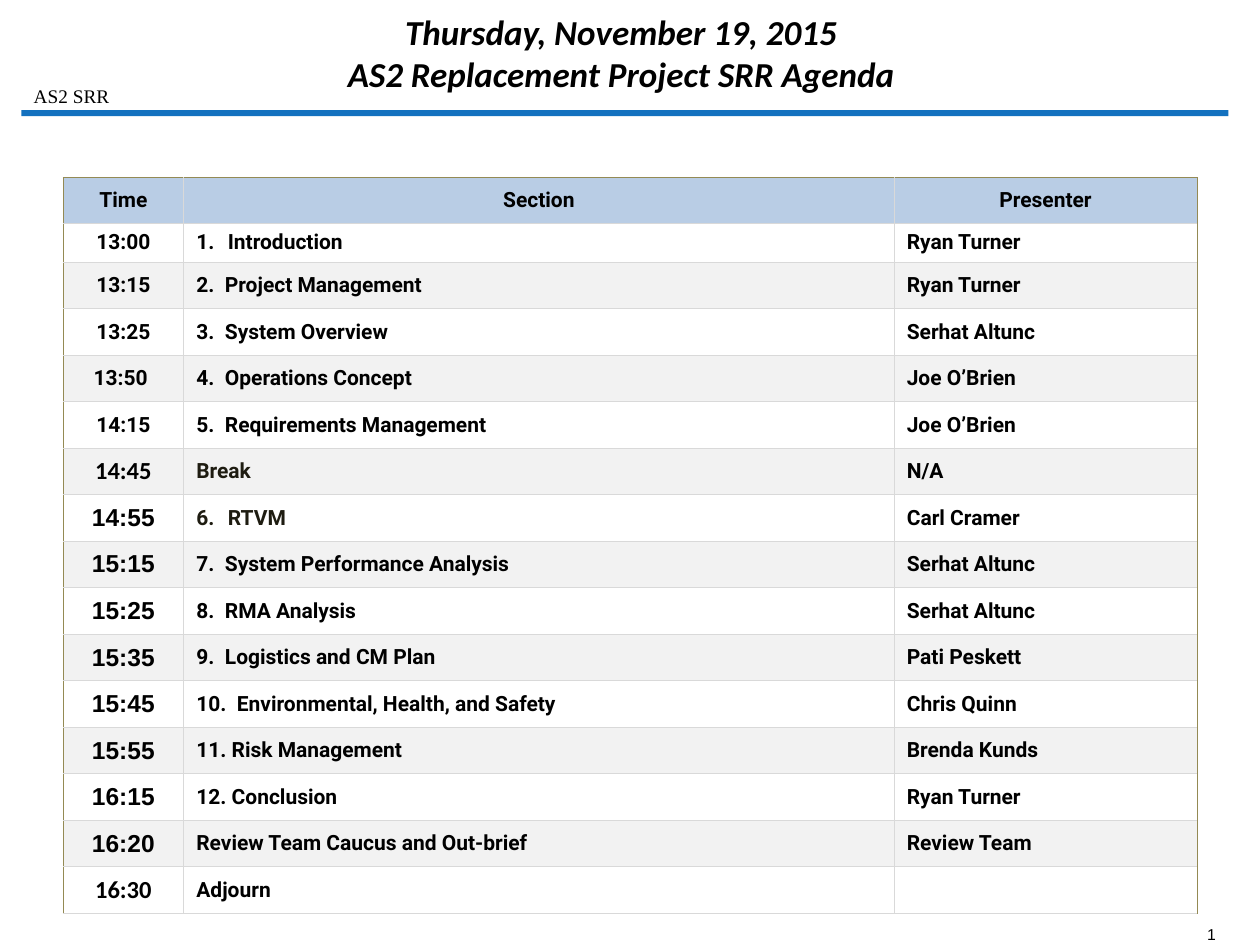
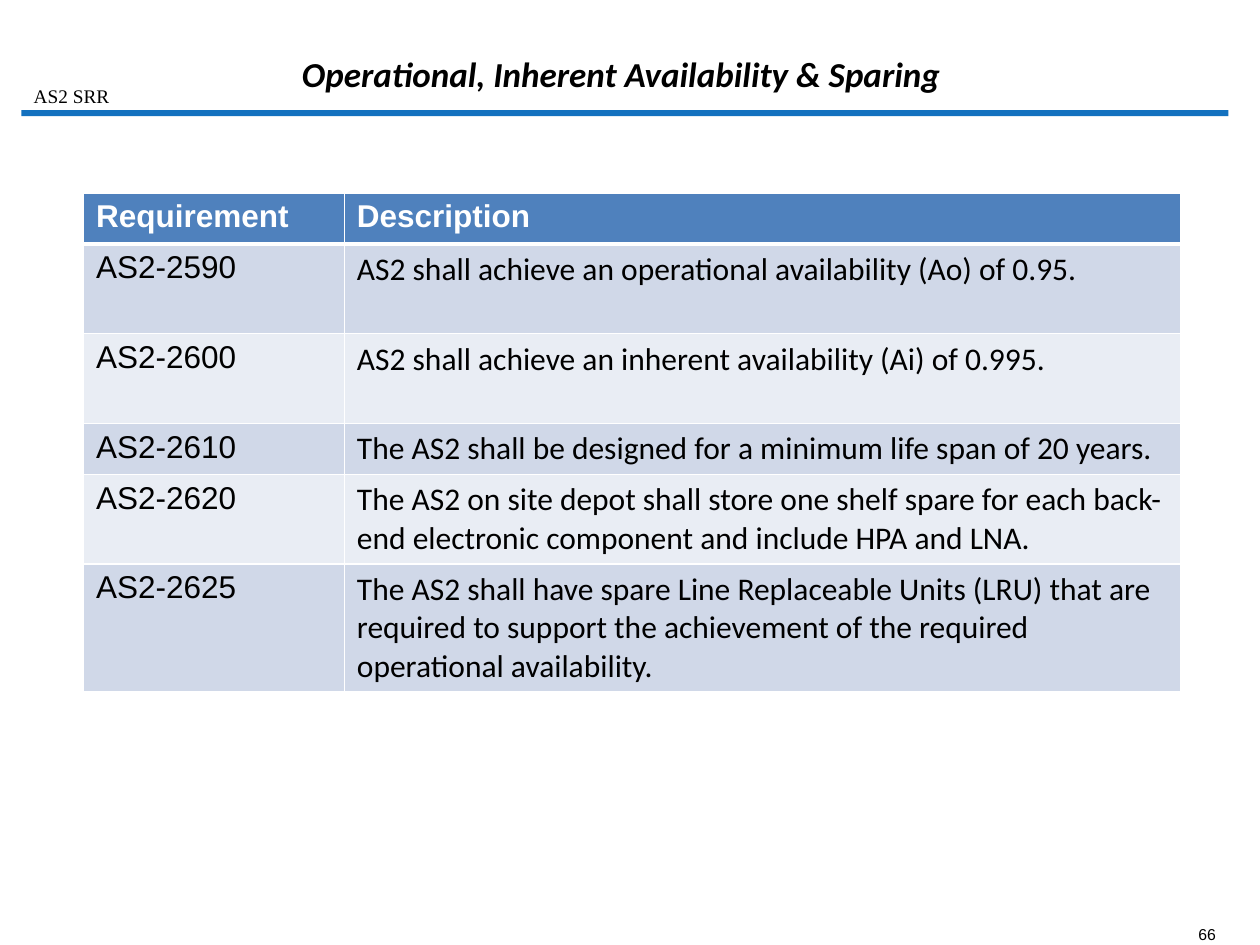
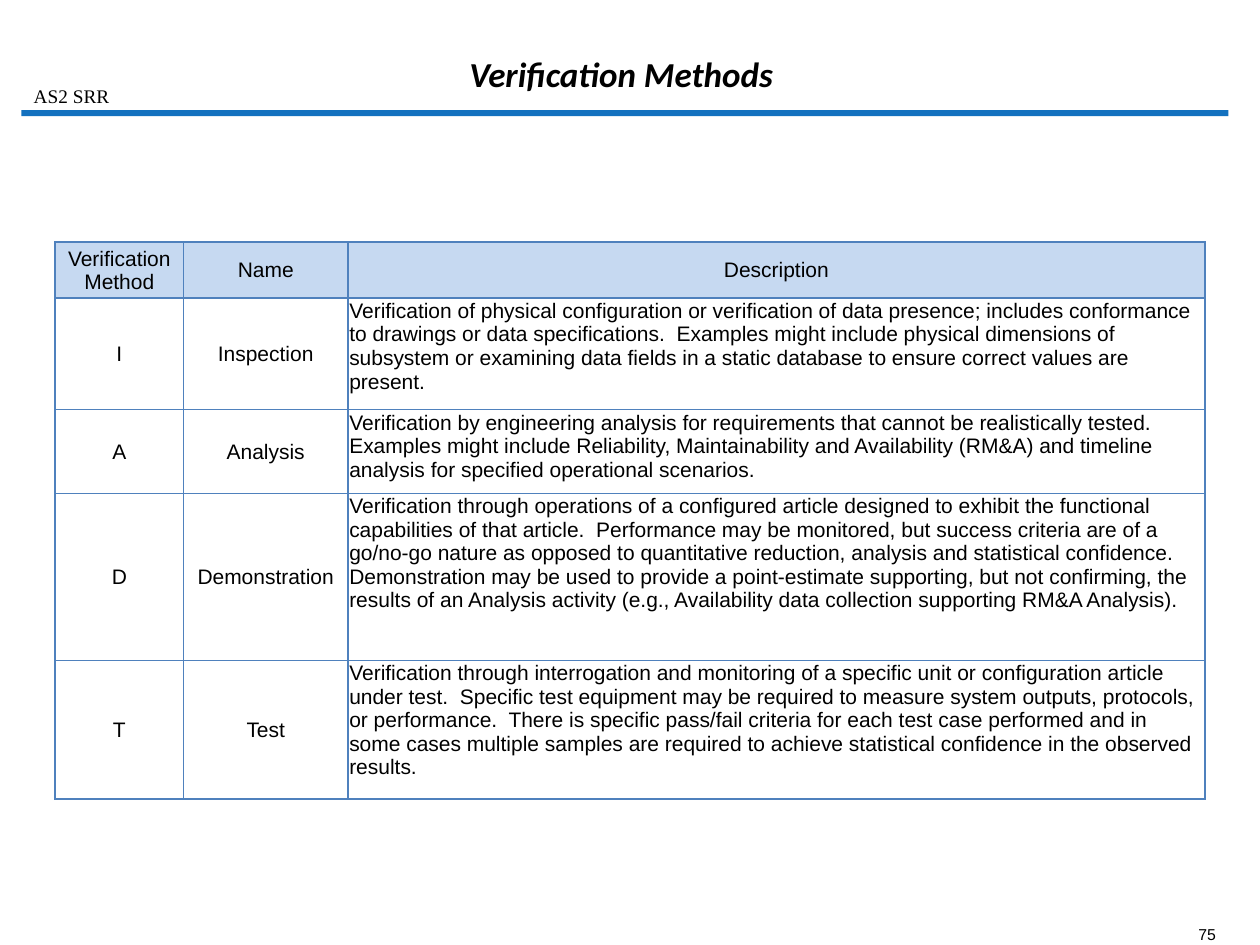
from lxml.etree import SubElement
from pptx import Presentation
from pptx.dml.color import RGBColor
from pptx.enum.shapes import MSO_SHAPE as Preset
from pptx.enum.text import MSO_ANCHOR as Anchor, PP_ALIGN as Align
from pptx.oxml.ns import qn
from pptx.util import Pt

COLORS = {
    "text": "000000", "white": "FFFFFF", "rule": "1371BF",
    "agenda_head": "B9CDE5", "agenda_band": "F2F2F2", "agenda_grid": "D9D9D9",
    "agenda_frame": "948A54", "break": "1E1C11",
    "need_head": "4F81BD", "need_dark": "D0D8E8", "need_light": "E9EDF4",
    "method_head": "C6D9F1", "method_grid": "4F81BD",
}


def rgb(name):
    return RGBColor.from_string(COLORS[name])


def write(holder, text, font="Arial", size=12, color="text", bold=False, italic=False,
          align=Align.LEFT, anchor=Anchor.TOP, insets=(7.2, 3.6, 7.2, 3.6), number=None):
    """Put formatted text in a text frame or a table cell."""
    frame = getattr(holder, "text_frame", holder)
    for side, inset in zip(("left", "top", "right", "bottom"), insets):
        setattr(holder, f"margin_{side}", Pt(inset))
    holder.vertical_anchor = anchor
    frame.word_wrap = True
    paragraph = frame.paragraphs[0]
    paragraph.text = text
    paragraph.alignment = align
    if number:
        props = paragraph._p.get_or_add_pPr()
        props.set("marL", str(Pt(18)))
        props.set("indent", str(-Pt(18)))
        SubElement(props, qn("a:buAutoNum"), type="arabicPeriod", startAt=str(number))
    for run in paragraph.runs:
        run.font.name, run.font.size = font, Pt(size)
        run.font.bold, run.font.italic = bold, italic
        run.font.color.rgb = rgb(color)


class Deck:
    def __init__(self):
        self.deck = Presentation()
        self.deck.slide_width, self.deck.slide_height = Pt(720), Pt(540)
        self.slide = None

    def add_slide(self, title, page):
        self.slide = self.deck.slides.add_slide(self.deck.slide_layouts[6])
        self.text(684, 528.5, 10.8, 10.8, str(page), size=9, align=Align.RIGHT,
                  insets=(0, 0, 0, 0))
        self.bar(12.2, 62.9, 689.8, 3.5, "rule")
        self.text(12.2, 44.6, 58.3, 20.9, "AS2 SRR", font="Times New Roman", size=11)
        self.text(95.8, 9.4, 518.4, 48.2, title, font="Calibri", size=20, bold=True,
                  italic=True, align=Align.CENTER, anchor=Anchor.BOTTOM)

    def text(self, left, top, width, height, text, **style):
        box = self.slide.shapes.add_textbox(Pt(left), Pt(top), Pt(width), Pt(height))
        write(box.text_frame, text, **style)

    def bar(self, left, top, width, height, color):
        bar = self.slide.shapes.add_shape(Preset.RECTANGLE, Pt(left), Pt(top),
                                          Pt(width), Pt(height))
        bar.shadow.inherit = False
        bar.fill.solid()
        bar.fill.fore_color.rgb = rgb(color)
        bar.line.fill.background()

    def table(self, left, top, widths, heights, rows, look):
        """look(row, column) gives the fill, the borders and the text style of a cell."""
        grid = self.slide.shapes.add_table(len(rows), len(widths), Pt(left), Pt(top),
                                           Pt(sum(widths)), Pt(sum(heights))).table
        grid.first_row = grid.horz_banding = False
        for column, width in zip(grid.columns, widths):
            column.width = Pt(width)
        for line, height in zip(grid.rows, heights):
            line.height = Pt(height)
        for r, values in enumerate(rows):
            for c, value in enumerate(values):
                cell = grid.cell(r, c)
                fill, borders, style = look(r, c)
                write(cell, value, **style)
                self.borders(cell, borders)
                if fill:
                    cell.fill.solid()
                    cell.fill.fore_color.rgb = rgb(fill)
                else:
                    cell.fill.background()

    def borders(self, cell, borders):
        props = cell._tc.get_or_add_tcPr()
        for side in "LRTB":
            color, width = borders[side]
            line = SubElement(props, qn(f"a:ln{side}"), w=str(Pt(width)))
            SubElement(SubElement(line, qn("a:solidFill")), qn("a:srgbClr"), val=COLORS[color])


# Agenda
AGENDA = [
    ("Time", "Section", "Presenter"),
    ("13:00", "Introduction", "Ryan Turner"),
    ("13:15", "2.  Project Management", "Ryan Turner"),
    ("13:25", "3.  System Overview", "Serhat Altunc"),
    ("13:50 ", "4.  Operations Concept", "Joe O’Brien"),
    ("14:15", "5.  Requirements Management", "Joe O’Brien"),
    ("14:45", "Break", "N/A"),
    ("14:55", "RTVM", "Carl Cramer"),
    ("15:15", "7.  System Performance Analysis", "Serhat Altunc"),
    ("15:25", "8.  RMA Analysis", "Serhat Altunc"),
    ("15:35", "9.  Logistics and CM Plan", "Pati Peskett"),
    ("15:45", "10.  Environmental, Health, and Safety", "Chris Quinn"),
    ("15:55", "11. Risk Management", "Brenda Kunds"),
    ("16:15", "12. Conclusion", "Ryan Turner"),
    ("16:20", "Review Team Caucus and Out-brief", "Review Team"),
    ("16:30", "Adjourn", ""),
]
NUMBERED = {"Introduction": 1, "RTVM": 6}


def agenda_look(row, column):
    time, section, _ = AGENDA[row]
    style = dict(font="Roboto", bold=True, anchor=Anchor.MIDDLE, insets=(7.2, 1.44, 7.2, 1.44))
    if row == 0 or column == 0:
        style["align"] = Align.CENTER
    if column == 0 and row > 5:
        style.update(size=14, font="Calibri" if time in ("14:45", "16:30") else "Arial")
    if column == 1:
        style["number"] = NUMBERED.get(section)
        if section in ("Break", "RTVM"):
            style["color"] = "break"
    borders = dict.fromkeys("LRTB", ("agenda_grid", 0.5))
    for side, outer in (("L", column == 0), ("R", column == 2), ("T", row == 0)):
        if outer:
            borders[side] = ("agenda_frame", 0.25)
    fill = "agenda_head" if row == 0 else None if row % 2 else "agenda_band"
    return fill, borders, style


# Requirements
NEEDS = [
    ("Requirement", "Description"),
    ("AS2-2590", "AS2 shall achieve an operational availability (Ao) of 0.95."),
    ("AS2-2600", "AS2 shall achieve an inherent availability (Ai) of 0.995."),
    ("AS2-2610", "The AS2 shall be designed for a minimum life span of 20 years."),
    ("AS2-2620", "The AS2 on site depot shall store one shelf spare for each back-end "
                 "electronic component and include HPA and LNA."),
    ("AS2-2625", "The AS2 shall have spare Line Replaceable Units (LRU) that are required to "
                 "support the achievement of the required operational availability."),
]


def need_look(row, column):
    borders = dict.fromkeys("LRTB", ("white", 1))
    if row < 2:
        borders["B" if row == 0 else "T"] = ("white", 3)
    if row == 0:
        return "need_head", borders, dict(size=18, color="white", bold=True)
    fill = "need_dark" if row % 2 else "need_light"
    return fill, borders, dict(size=18, font="Calibri" if column else "Arial")


# Verification methods
METHODS = [
    ("Verification Method", "Name", "Description"),
    ("I", "Inspection",
     "Verification of physical configuration or verification of data presence; includes "
     "conformance to drawings or data specifications.  Examples might include physical "
     "dimensions of subsystem or examining data fields in a static database to ensure correct "
     "values are present."),
    ("A", "Analysis",
     "Verification by engineering analysis for requirements that cannot be realistically "
     "tested.  Examples might include Reliability, Maintainability and Availability (RM&A) and "
     "timeline analysis for specified operational scenarios."),
    ("D", "Demonstration",
     "Verification through operations of a configured article designed to exhibit the "
     "functional capabilities of that article.  Performance may be monitored, but success "
     "criteria are of a go/no-go nature as opposed to quantitative reduction, analysis and "
     "statistical confidence.  Demonstration may be used to provide a point-estimate "
     "supporting, but not confirming, the results of an Analysis activity (e.g., Availability "
     "data collection supporting RM&A Analysis)."),
    ("T", "Test",
     "Verification through interrogation and monitoring of a specific unit or configuration "
     "article under test.  Specific test equipment may be required to measure system outputs, "
     "protocols, or performance.  There is specific pass/fail criteria for each test case "
     "performed and in some cases multiple samples are required to achieve statistical "
     "confidence in the observed results."),
]


def method_look(row, column):
    style = dict(insets=(0.72, 0.72, 0.72, 0))
    if row == 0 or column < 2:
        style.update(align=Align.CENTER, anchor=Anchor.MIDDLE)
    borders = dict.fromkeys("LRTB", ("method_grid", 1))
    return "method_head" if row == 0 else None, borders, style


def main():
    deck = Deck()
    deck.add_slide("Thursday, November 19, 2015\nAS2 Replacement Project SRR Agenda", 1)
    deck.table(36, 101.5, (69, 406, 173), [26.2, 22] + [26.6] * 14, AGENDA, agenda_look)

    deck.add_slide("Operational, Inherent Availability & Sparing", 66)
    deck.table(47.8, 110.2, (149, 478), (29.3, 51.2, 51.2, 29.3, 51.2, 73), NEEDS, need_look)

    deck.add_slide("Verification Methods", 75)
    deck.table(31.5, 138.2, (73.4, 94, 489.6), (32.2, 63.8, 47.9, 95.3, 79.4),
               METHODS, method_look)
    deck.deck.save("out.pptx")


if __name__ == "__main__":
    main()
